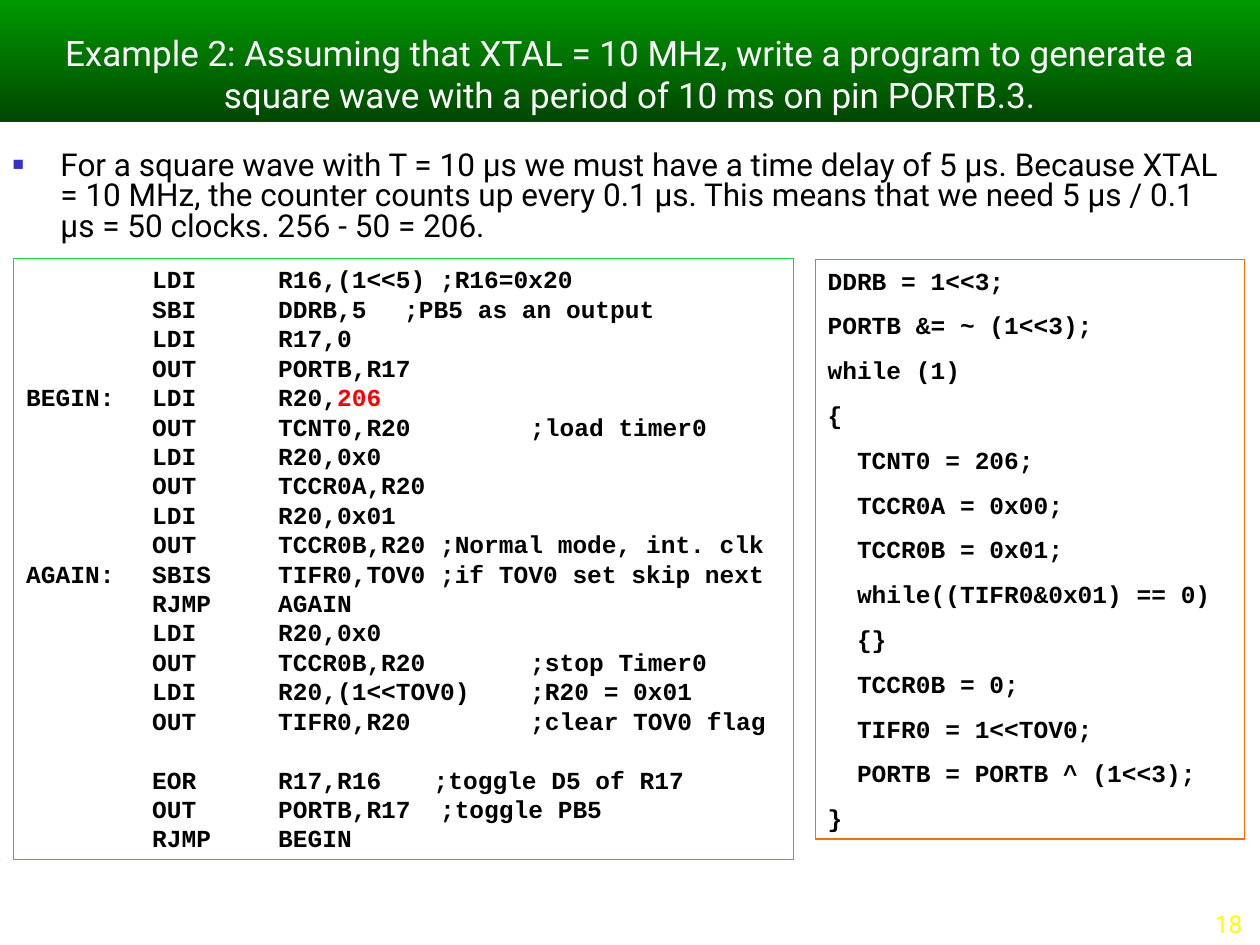
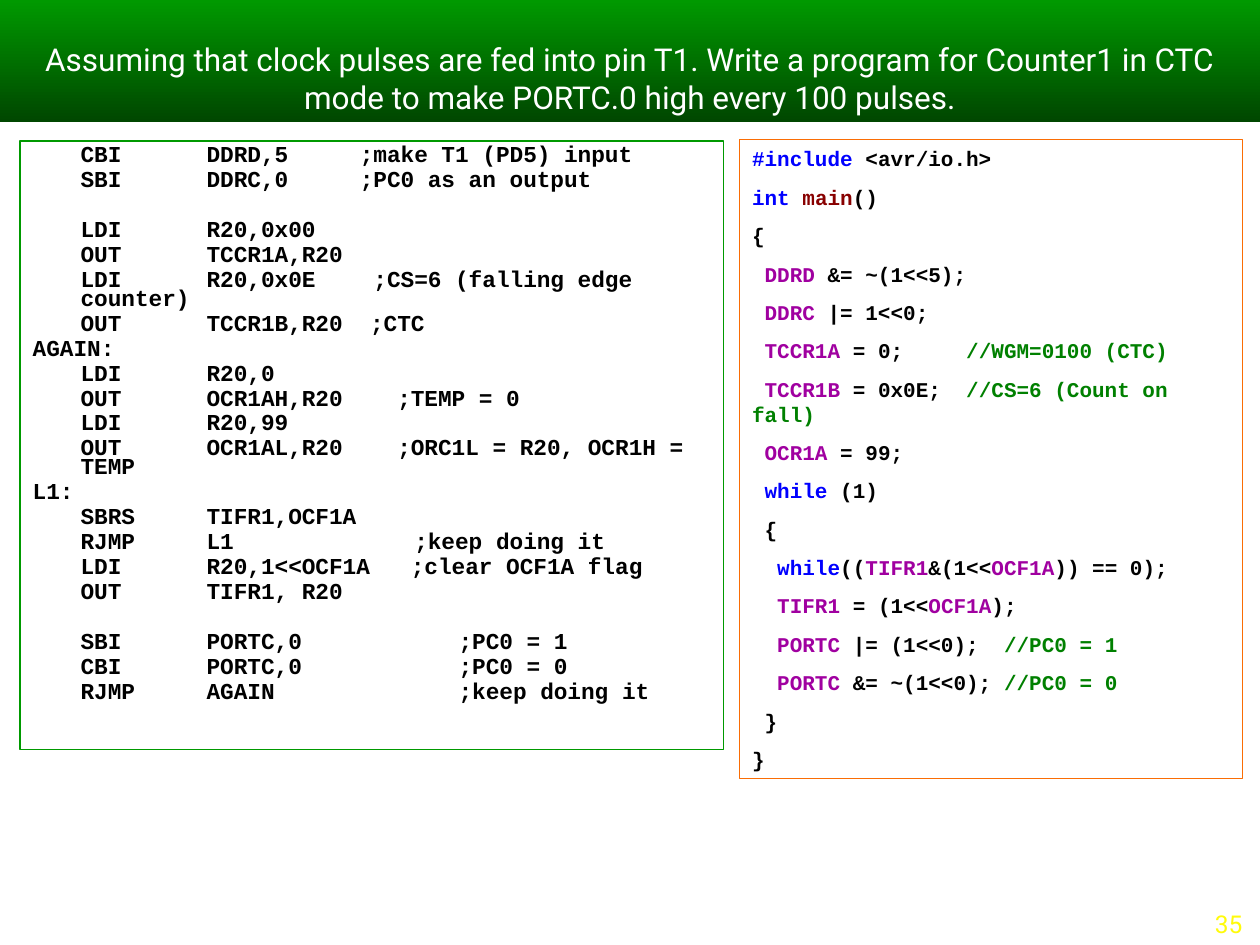
from dataclasses import dataclass

from lxml import etree
from pptx import Presentation
from pptx import util as u
from pptx.dml.color import RGBColor
from pptx.enum import text as t
from pptx.oxml.ns import qn

PX = 9144  # 100 px to the inch


@dataclass(frozen=True)
class Theme:
    sans: str = "Roboto"
    mono: str = "Courier New"
    lead: float = 1.2
    line: float = 0.75
    body: int = 18
    page: int = 14
    band: tuple = ("009900", "004700")
    white: str = "FFFFFF"
    black: str = "000000"
    bullet: str = "3333CC"
    foot: str = "FFFB0B"
    lime: str = "0ADA3C"
    green: str = "009900"
    orange: str = "FA6D04"
    red: str = "FF0000"
    key: str = "0000FF"
    func: str = "880000"
    reg: str = "A000A0"
    note: str = "008000"


TH = Theme()
SIZE = (1000, 750)
BAND = (0, 0, 1000, 97)
PAGE = (783, 722, 213, 28)
HANG = 38
TAB = 100

# A code line is a string or a list of strings and (colour, string) pairs.
# An empty line stands for a gap above the next one.
WAVE_ASM = [
    "\tLDI\tR16,(1<<5) ;R16=0x20",
    "\tSBI\tDDRB,5\t;PB5 as an output",
    "\tLDI\tR17,0",
    "\tOUT\tPORTB,R17",
    ["BEGIN:\tLDI\tR20,", (TH.red, "206")],
    "\tOUT\tTCNT0,R20\t;load timer0",
    "\tLDI\tR20,0x0",
    "\tOUT\tTCCR0A,R20",
    "\tLDI\tR20,0x01",
    "\tOUT\tTCCR0B,R20 ;Normal mode, int. clk",
    "AGAIN:\tSBIS\tTIFR0,TOV0 ;if TOV0 set skip next",
    "\tRJMP\tAGAIN",
    "\tLDI\tR20,0x0",
    "\tOUT\tTCCR0B,R20\t;stop Timer0",
    "\tLDI\tR20,(1<<TOV0)\t;R20 = 0x01",
    "\tOUT\tTIFR0,R20\t;clear TOV0 flag",
    "",
    "\tEOR\tR17,R16\t  ;toggle D5 of R17",
    "\tOUT\tPORTB,R17  ;toggle PB5",
    "\tRJMP\tBEGIN",
]
WAVE_C = [
    "DDRB = 1<<3;",
    "PORTB &= ~ (1<<3);",
    "while (1)",
    "{",
    "  TCNT0 = 206;",
    "  TCCR0A = 0x00;",
    "  TCCR0B = 0x01;",
    "  while((TIFR0&0x01) == 0)",
    "  {}",
    "  TCCR0B = 0;",
    "  TIFR0 = 1<<TOV0;",
    "  PORTB = PORTB ^ (1<<3);",
    "}",
]
COUNT_ASM = [
    "\tCBI\tDDRD,5\t  ;make T1 (PD5) input",
    "\tSBI\tDDRC,0\t  ;PC0 as an output",
    "",
    "\tLDI\tR20,0x00",
    "\tOUT\tTCCR1A,R20",
    "\tLDI\tR20,0x0E\t   ;CS=6 (falling edge counter)",
    "\tOUT\tTCCR1B,R20  ;CTC",
    "AGAIN:",
    "\tLDI\tR20,0",
    "\tOUT\tOCR1AH,R20    ;TEMP = 0",
    "\tLDI\tR20,99",
    "\tOUT\tOCR1AL,R20    ;ORC1L = R20, OCR1H = TEMP",
    "L1:",
    "\tSBRS\tTIFR1,OCF1A",
    "\tRJMP\tL1\t      ;keep doing it",
    "\tLDI\tR20,1<<OCF1A   ;clear OCF1A flag",
    "\tOUT\tTIFR1, R20",
    "",
    "\tSBI\tPORTC,0\t\t;PC0 = 1",
    "\tCBI\tPORTC,0\t\t;PC0 = 0",
    "\tRJMP\tAGAIN\t\t;keep doing it",
]
COUNT_C = [
    [(TH.key, "#include "), "<avr/io.h>"],
    [(TH.key, "int "), (TH.func, "main"), "()"],
    "{",
    [(TH.reg, " DDRD "), "&= ~(1<<5);"],
    [(TH.reg, " DDRC "), "|= 1<<0;"],
    [(TH.reg, " TCCR1A "), "= 0;     ", (TH.note, "//WGM=0100 (CTC)")],
    [(TH.reg, " TCCR1B "), "= 0x0E;  ", (TH.note, "//CS=6 (Count on fall)")],
    [(TH.reg, " OCR1A "), "= 99;"],
    [(TH.key, " while "), "(1)"],
    " {",
    [(TH.key, "  while"), "((", (TH.reg, "TIFR1"), "&(1<<",
     (TH.reg, "OCF1A"), ")) == 0);"],
    [(TH.reg, "  TIFR1 "), "= (1<<", (TH.reg, "OCF1A"), ");"],
    [(TH.reg, "  PORTC "), "|= (1<<0);  ", (TH.note, "//PC0 = 1")],
    [(TH.reg, "  PORTC "), "&= ~(1<<0); ", (TH.note, "//PC0 = 0")],
    " }",
    "}",
]
SLIDES = [
    dict(
        title="Example 2: Assuming that XTAL = 10 MHz, write a program to "
              "generate a square wave with a period of 10 ms on pin PORTB.3.",
        size=20, page="18",
        body="For a square wave with T = 10 µs we must have a time delay of "
             "5 µs. Because XTAL = 10 MHz, the counter counts up every 0.1 µs. "
             "This means that we need 5 µs / 0.1 µs = 50 clocks. "
             "256 - 50 = 206.",
        place=(0, 116, 979, 84),
        boxes=[
            dict(code=WAVE_ASM, at=(11, 205, 619, 477), edge=TH.lime, size=14),
            dict(code=WAVE_C, at=(647, 206, 341, 460), edge=TH.orange,
                 size=14, before=8.8),
        ],
    ),
    dict(
        title="Assuming that clock pulses are fed into pin T1. Write a program "
              "for Counter1 in CTC mode to make PORTC.0 high every 100 pulses.",
        size=18, page="35",
        boxes=[
            dict(code=COUNT_ASM, at=(16, 112, 558, 483), edge=TH.green,
                 size=13, before=3.3, space=0.7, hang=HANG),
            dict(code=COUNT_C, at=(587, 111, 399, 507), edge=TH.orange,
                 size=12, before=7.5),
        ],
    ),
]


def rgb(hue):
    return RGBColor.from_string(hue)


def place(shape, at):
    shape.left, shape.top, shape.width, shape.height = (n * PX for n in at)


def frame(shape, anchor=t.MSO_ANCHOR.TOP, fit=t.MSO_AUTO_SIZE.NONE):
    """Set up the text frame and return it."""
    tf = shape.text_frame
    tf.word_wrap = True
    tf.auto_size = fit
    tf.vertical_anchor = anchor
    return tf


def write(para, words, font, size, hue, bold=False):
    run = para.add_run()
    run.text = words
    run.font.name = font
    run.font.size = u.Pt(size)
    run.font.bold = bold
    run.font.color.rgb = rgb(hue)


def child(node, tag, **attrs):
    kid = etree.SubElement(node, qn(tag))
    for name, value in attrs.items():
        kid.set(name, str(value))
    return kid


def indent(para, hang):
    """Set the hanging indent and tab pitch; return the properties."""
    props = para._p.get_or_add_pPr()
    props.set("marL", str(hang * PX))
    props.set("indent", str(-hang * PX))
    props.set("defTabSz", str(TAB * PX))
    return props


def add_title(slide, words, size):
    band = slide.shapes.title
    place(band, BAND)
    band.fill.gradient()
    band.fill.gradient_angle = 270
    for stop, hue, pos in zip(band.fill.gradient_stops, TH.band, (0, 1)):
        stop.color.rgb = rgb(hue)
        stop.position = pos
    para = frame(band, t.MSO_ANCHOR.BOTTOM).paragraphs[0]
    para.alignment = t.PP_ALIGN.CENTER
    write(para, words, TH.sans, size, TH.white)


def add_page(slide, words):
    box = slide.shapes.add_textbox(*(n * PX for n in PAGE))
    para = frame(box, t.MSO_ANCHOR.BOTTOM).paragraphs[0]
    para.alignment = t.PP_ALIGN.RIGHT
    write(para, words, TH.sans, TH.page, TH.foot)


def add_body(shape, words, at):
    place(shape, at)
    para = frame(shape).paragraphs[0]
    props = indent(para, HANG)
    child(child(props, "a:buClr"), "a:srgbClr", val=TH.bullet)
    child(props, "a:buSzPct", val=60000)
    child(props, "a:buChar", char="■")
    para.line_spacing = 0.8
    para.space_before = u.Pt(0)
    write(para, words, TH.sans, TH.body, TH.black)


def add_code(shape, fit, code, at, edge, size, before=0, space=1.0, hang=0):
    place(shape, at)
    shape.fill.background()
    shape.line.color.rgb = rgb(edge)
    shape.line.width = u.Pt(TH.line)
    tf = frame(shape, fit=fit)
    blank = TH.lead * size * space + before
    gap, para = 0, None
    for line in code:
        if not line:
            gap += blank
            continue
        first = para is None
        para = tf.paragraphs[0] if first else tf.add_paragraph()
        props = indent(para, hang)
        child(props, "a:buNone")
        tabs = child(props, "a:tabLst")
        for stop in range(8):
            child(tabs, "a:tab", pos=stop * TAB * PX, algn="l")
        para.line_spacing = space
        para.space_before = u.Pt(0 if first else before + gap)
        gap = 0
        for part in [line] if isinstance(line, str) else line:
            hue, words = (TH.black, part) if isinstance(part, str) else part
            write(para, words, TH.mono, size, hue, bold=True)


def main():
    deck = Presentation()
    deck.slide_width, deck.slide_height = (n * PX for n in SIZE)
    for data in SLIDES:
        slide = deck.slides.add_slide(deck.slide_layouts[1])
        add_title(slide, data["title"], data["size"])
        add_page(slide, data["page"])
        body = slide.placeholders[1]
        boxes = list(data["boxes"])
        if "body" in data:
            add_body(body, data["body"], data["place"])
        else:
            add_code(body, t.MSO_AUTO_SIZE.NONE, **boxes.pop(0))
        for box in boxes:
            shape = slide.shapes.add_textbox(0, 0, 0, 0)
            add_code(shape, t.MSO_AUTO_SIZE.SHAPE_TO_FIT_TEXT, **box)
    deck.save("out.pptx")


if __name__ == "__main__":
    main()
